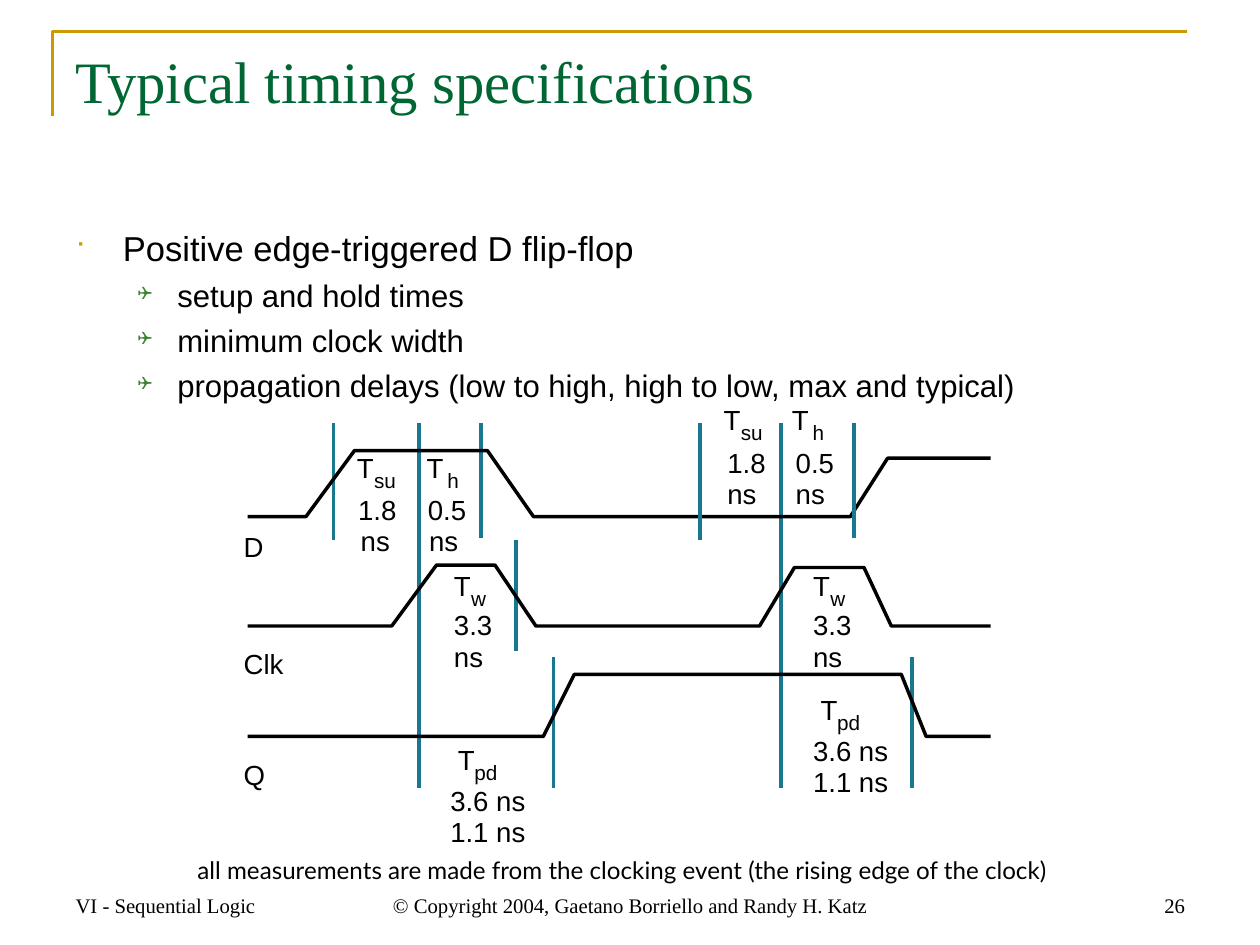
from lxml.etree import SubElement
from pptx import Presentation
from pptx.dml.color import RGBColor
from pptx.enum.shapes import MSO_CONNECTOR
from pptx.enum.text import MSO_ANCHOR, MSO_AUTO_SIZE, PP_ALIGN
from pptx.oxml.ns import qn
from pptx.util import Pt

BLACK = RGBColor(0x00, 0x00, 0x00)
GOLD = RGBColor(0xCC, 0x99, 0x00)
DARK_GREEN = RGBColor(0x00, 0x66, 0x33)
BULLET_GREEN = RGBColor(0x3B, 0x81, 0x2F)
TEAL = RGBColor(0x19, 0x78, 0x8F)
SANS, SERIF, CAPTION_FONT = "Arial", "Times New Roman", "Lato"
BULLET_FONT = "Wingdings"


def add_run(paragraph, text, size, font, color=BLACK):
    run = paragraph.add_run()
    run.text = text
    run.font.size = Pt(size)
    run.font.name = font
    run.font.color.rgb = color


def add_frame(shapes, box, insets=(7.2, 3.6), wrap=True):
    """Add an empty text box and return its text frame."""
    frame = shapes.add_textbox(*(Pt(length) for length in box)).text_frame
    frame.word_wrap = wrap
    frame.auto_size = MSO_AUTO_SIZE.NONE
    frame.margin_left = frame.margin_right = Pt(insets[0])
    frame.margin_top = frame.margin_bottom = Pt(insets[1])
    return frame


def add_polyline(shapes, points, color, width):
    corners = [(Pt(x), Pt(y)) for x, y in points]
    builder = shapes.build_freeform(*corners[0])
    builder.add_line_segments(corners[1:], close=False)
    outline = builder.convert_to_shape()
    outline.fill.background()
    outline.line.color.rgb = color
    outline.line.width = Pt(width)
    outline.shadow.inherit = False


def add_heading(shapes, left, top, width, height):
    """Draw the corner rule and the slide title beside it."""
    rule_x, rule_y = left - 6.2, top - 4
    add_polyline(shapes, [(rule_x, rule_y + 49), (rule_x, rule_y),
                          (rule_x + 657, rule_y)], GOLD, 1.5)
    frame = add_frame(shapes, (left, top, width, height))
    add_run(frame.paragraphs[0], "Typical timing specifications", 34, SERIF,
            DARK_GREEN)


def set_bullet(paragraph, char, color, percent, indent, hanging):
    properties = paragraph._p.get_or_add_pPr()
    properties.set("marL", str(Pt(indent)))
    properties.set("indent", str(-Pt(hanging)))
    bullet_color = SubElement(properties, qn("a:buClr"))
    SubElement(bullet_color, qn("a:srgbClr")).set("val", str(color))
    SubElement(properties, qn("a:buSzPct")).set("val", str(percent * 1000))
    SubElement(properties, qn("a:buFont")).set("typeface", BULLET_FONT)
    SubElement(properties, qn("a:buChar")).set("char", char)


def add_topics(shapes, left, top, width, height):
    frame = add_frame(shapes, (left, top, width, height))
    topic = frame.paragraphs[0]
    set_bullet(topic, "■", GOLD, 65, 27.4, 27.4)
    add_run(topic, "Positive edge-triggered D flip-flop", 20, SANS)
    for text in ("setup and hold times", "minimum clock width",
                 "propagation delays (low to high, high to low, max and typical)"):
        detail = frame.add_paragraph()
        detail.level = 1
        detail.space_before = Pt(4.5)
        set_bullet(detail, "❑", BULLET_GREEN, 60, 59, 23)
        add_run(detail, text, 18, SANS)


def add_timing_diagram(shapes, left, top):
    diagram = shapes.add_group_shape().shapes

    def add_markers(markers):
        for x, start, end in markers:
            marker = diagram.add_connector(
                MSO_CONNECTOR.STRAIGHT, Pt(left + x), Pt(top + start),
                Pt(left + x), Pt(top + end))
            marker.line.color.rgb = TEAL
            marker.line.width = Pt(2)
            SubElement(marker._element.spPr, qn("a:effectLst"))

    def add_label(text, x, y, size=16):
        frame = add_frame(diagram, (left + x, top + y, 1.5 * size, 1.2 * size),
                          (0, 0), wrap=False)
        add_run(frame.paragraphs[0], text, size, SANS)

    edge_top, edge_bottom = 11.8, 222.8
    add_markers([(101.6, edge_top, edge_bottom), (52, edge_top, 79.5),
                 (137.6, edge_top, 78), (157.8, 79.5, 143.6),
                 (179.4, 147.2, edge_bottom), (311.2, edge_top, edge_bottom),
                 (387.1, 147.2, edge_bottom)])

    wave_start, wave_end = 2.3, 432.8
    signals = [
        ("D", 73.7, 65.8, 32,
         [(36.1, 65.8), (64.2, 27.6), (141.2, 27.6), (167.9, 65.8),
          (351.5, 65.8), (373.1, 32)]),
        ("Clk", 141.4, 129.2, 129.2,
         [(85.8, 129.2), (111.7, 93.9), (145.6, 93.9), (169.3, 129.2),
          (298.9, 129.2), (319.1, 95.3), (359.4, 95.3), (375.2, 129.2)]),
        ("Q", 205.5, 193.2, 193.2,
         [(173.6, 193.2), (191.6, 157.2), (381, 157.2), (395.4, 193.2)]),
    ]
    for name, name_y, first_level, last_level, edges in signals:
        wave = [(wave_start, first_level), *edges, (wave_end, last_level)]
        add_polyline(diagram, [(left + x, top + y) for x, y in wave], BLACK, 2)
        add_label(name, 0, name_y)

    add_markers([(264.4, edge_top, 79.5), (353.6, edge_top, 78)])

    # subscript, its offset, drop to the values, values
    setup = ("su", 10, 24.7, ("1.8", "ns"))
    hold = ("h", 12, 24.7, ("0.5", "ns"))
    pulse_width = ("w", 10, 23, ("3.3", "ns"))
    delay = ("pd", 9.6, 23.8, ("3.6 ns", "1.1 ns"))
    # timing, position of its T, offsets of the two values
    timings = [
        (setup, 65.6, 27.6, (0.7, 2.2)), (hold, 106, 27.6, (0.7, 1.4)),
        (pulse_width, 121.8, 96, (0, 0)), (delay, 124, 196.8, (-4.3, -4.3)),
        (setup, 278, 0, (2.2, 2.2)), (hold, 317.6, 0, (2.2, 2.2)),
        (delay, 334.2, 168, (-4.3, -4.3)), (pulse_width, 329.9, 96, (0, 0)),
    ]
    for (subscript, shift, drop, values), x, y, offsets in timings:
        add_label("T", x, y)
        add_label(subscript, x + shift, y + 9.8, 12)
        for row, (value, offset) in enumerate(zip(values, offsets)):
            add_label(value, x + offset, y + drop + 18 * row)


def add_caption(shapes, left, top, width, height):
    frame = add_frame(shapes, (left, top, width, height), (1.4, 2.2), wrap=False)
    caption = frame.paragraphs[0]
    caption.alignment = PP_ALIGN.CENTER
    caption.line_spacing = Pt(21)
    add_run(caption, "all measurements are made from the clocking event "
            "(the rising edge of the clock)", 14, CAPTION_FONT)


def add_footer(shapes, left, top, width, height):
    side, middle = 170.6, 303.8
    parts = [
        ("© Copyright 2004, Gaetano Borriello and Randy H. Katz",
         left + (width - middle) / 2, middle, PP_ALIGN.CENTER),
        ("26", left + width - side, side, PP_ALIGN.RIGHT),
        ("VI - Sequential Logic", left, side, PP_ALIGN.LEFT),
    ]
    for text, x, part_width, alignment in parts:
        frame = add_frame(shapes, (x, top, part_width, height))
        frame.vertical_anchor = MSO_ANCHOR.BOTTOM
        frame.paragraphs[0].alignment = alignment
        add_run(frame.paragraphs[0], text, 12, SERIF)


def main():
    deck = Presentation()
    deck.slide_width = Pt(730)
    deck.slide_height = Pt(547.5)
    shapes = deck.slides.add_slide(deck.slide_layouts[6]).shapes
    add_heading(shapes, 36.7, 22.3, 656.6, 90.7)
    add_caption(shapes, 28.1, 489.2, 665.3, 51.8)
    add_topics(shapes, 36.7, 128, 659.5, 355.7)
    add_timing_diagram(shapes, 141.2, 233.5)
    add_footer(shapes, 36.7, 498.4, 657, 36.7)
    deck.save("out.pptx")


if __name__ == "__main__":
    main()
